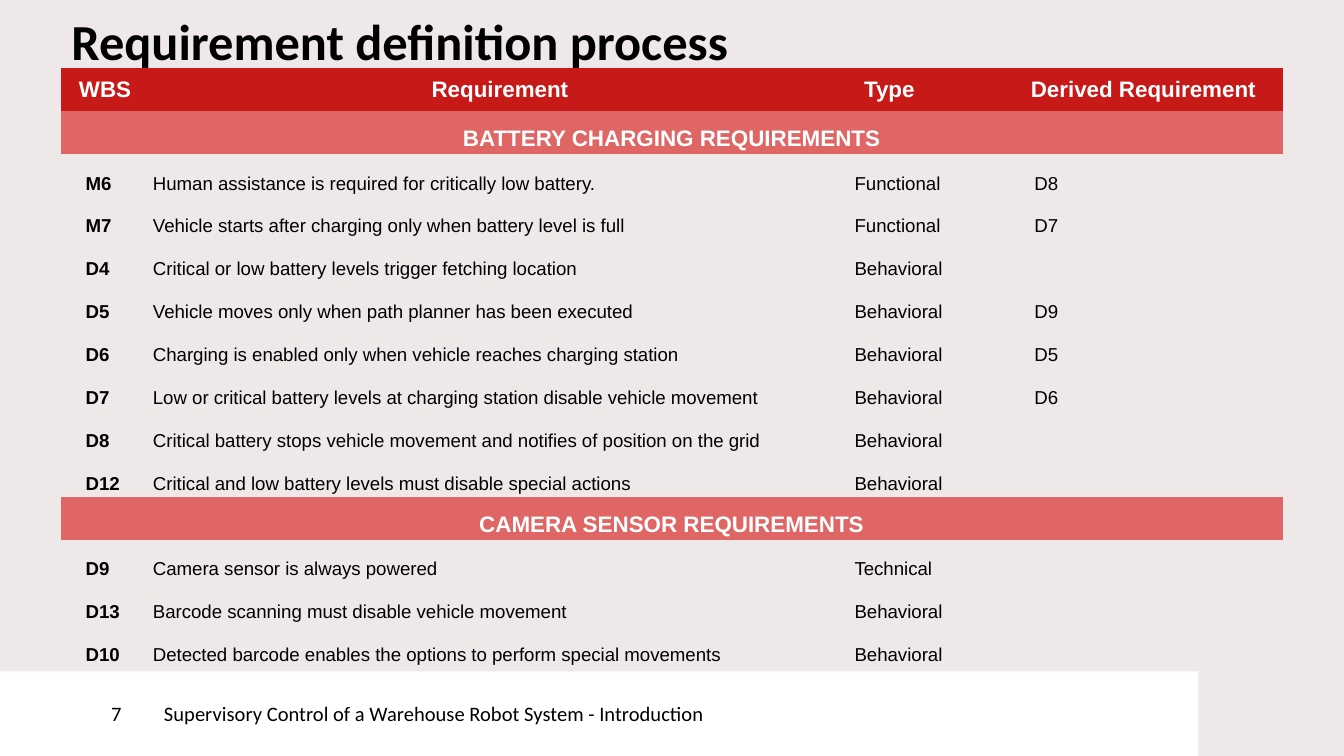
from dataclasses import dataclass
from typing import Optional

from lxml.etree import SubElement
from pptx import Presentation
from pptx.dml.color import RGBColor
from pptx.enum.shapes import MSO_SHAPE
from pptx.enum.text import MSO_ANCHOR as Anchor, PP_ALIGN as Align
from pptx.oxml.ns import qn
from pptx.util import Cm, Pt

PALE = RGBColor(0xEE, 0xE8, 0xE8)
RED = RGBColor(0xC8, 0x19, 0x19)
ROSE = RGBColor(0xE0, 0x66, 0x66)
WHITE = RGBColor(0xFF, 0xFF, 0xFF)
BLACK = RGBColor(0, 0, 0)
PLAIN_TABLE_STYLE = "{2D5ABB26-0587-4C30-8999-92F81FD0307C}"
COLUMN_WIDTHS = (1.67, 13.26, 2.9, 5.26)
ROW_HEIGHT = 0.81


@dataclass(frozen=True)
class CellStyle:
    size: int
    color: RGBColor
    bold: bool = False
    fill: Optional[RGBColor] = None
    align: Align = Align.LEFT
    anchor: Anchor = Anchor.BOTTOM
    left: float = 0.07
    side: float = 0.07
    vertical: float = 0.05
    spacing: float = 1.15


@dataclass(frozen=True)
class Requirement:
    wbs: str
    text: str
    kind: str
    derived: str = ""


@dataclass(frozen=True)
class Section:
    heading: str
    requirements: tuple[Requirement, ...]


@dataclass(frozen=True)
class FooterBox:
    text: str
    left: float
    width: float
    inset: float


def header_style(align: Align) -> CellStyle:
    return CellStyle(12, WHITE, True, RED, align, Anchor.MIDDLE, 0.25, 0.25, 0.13, 1.0)


HEADERS = (
    ("WBS", header_style(Align.CENTER)),
    ("Requirement", header_style(Align.CENTER)),
    ("Type", header_style(Align.LEFT)),
    ("Derived Requirement", header_style(Align.CENTER)),
)
SECTION_STYLE = CellStyle(12, WHITE, True, ROSE, Align.CENTER)
BODY_STYLES = (
    CellStyle(10, BLACK, True, left=0.47),
    CellStyle(10, BLACK),
    CellStyle(10, BLACK),
    CellStyle(10, BLACK, left=0.57),
)
SECTIONS = (
    Section("BATTERY CHARGING REQUIREMENTS", (
        Requirement("M6", "Human assistance is required for critically low battery.", "Functional", "D8"),
        Requirement("M7", "Vehicle starts after charging only when battery level is full", "Functional", "D7"),
        Requirement("D4", "Critical or low battery levels trigger fetching location", "Behavioral"),
        Requirement("D5", "Vehicle moves only when path planner has been executed", "Behavioral", "D9"),
        Requirement("D6", "Charging is enabled only when vehicle reaches charging station", "Behavioral", "D5"),
        Requirement("D7", "Low or critical battery levels at charging station disable vehicle movement",
                    "Behavioral", "D6"),
        Requirement("D8", "Critical battery stops vehicle movement and notifies of position on the grid",
                    "Behavioral"),
        Requirement("D12", "Critical and low battery levels must disable special actions", "Behavioral"),
    )),
    Section("CAMERA SENSOR REQUIREMENTS", (
        Requirement("D9", "Camera sensor is always powered", "Technical"),
        Requirement("D13", "Barcode scanning must disable vehicle movement", "Behavioral"),
        Requirement("D10", "Detected barcode enables the options to perform special movements", "Behavioral"),
    )),
)
FOOTER = (
    FooterBox("7", 0, 3.1, 2.1),
    FooterBox("Supervisory Control of a Warehouse Robot System - Introduction", 3.1, 19.55, 0),
)


def format_runs(paragraph, font_name: str, size: int, color: RGBColor, bold: bool) -> None:
    for run in paragraph.runs:
        run.font.name = font_name
        run.font.size = Pt(size)
        run.font.bold = bold
        run.font.color.rgb = color


def fill_cell(cell, text: str, style: CellStyle) -> None:
    cell.margin_left, cell.margin_right = Cm(style.left), Cm(style.side)
    cell.margin_top = cell.margin_bottom = Cm(style.vertical)
    cell.vertical_anchor = style.anchor
    if style.fill is None:
        cell.fill.background()
    else:
        cell.fill.solid()
        cell.fill.fore_color.rgb = style.fill
    paragraph = cell.text_frame.paragraphs[0]
    paragraph.text = text
    paragraph.alignment = style.align
    paragraph.line_spacing = style.spacing
    format_runs(paragraph, "Arial", style.size, style.color, style.bold)
    if not text:
        SubElement(paragraph._p, qn("a:endParaRPr"), sz=str(style.size * 100))


def add_title(slide, text: str) -> None:
    title = slide.shapes.title
    title.left, title.top, title.width, title.height = Cm(1.35), Cm(0.13), Cm(21), Cm(1.42)
    frame = title.text_frame
    frame.text = text
    frame.vertical_anchor = Anchor.MIDDLE
    frame.margin_left = frame.margin_right = frame.margin_top = frame.margin_bottom = 0
    paragraph = frame.paragraphs[0]
    paragraph.alignment = Align.LEFT
    paragraph.line_spacing = 0.9
    format_runs(paragraph, "Calibri", 27, BLACK, True)


def add_requirements(slide, sections: tuple[Section, ...]) -> None:
    row_count = 1 + sum(1 + len(section.requirements) for section in sections)
    table = slide.shapes.add_table(
        row_count, len(COLUMN_WIDTHS), Cm(1.15), Cm(1.29),
        Cm(sum(COLUMN_WIDTHS)), Cm(ROW_HEIGHT * row_count),
    ).table
    table.first_row = table.horz_banding = False
    table._tbl.tblPr.find(qn("a:tableStyleId")).text = PLAIN_TABLE_STYLE
    for column, width in zip(table.columns, COLUMN_WIDTHS):
        column.width = Cm(width)
    for row in table.rows:
        row.height = Cm(ROW_HEIGHT)
    for index, (heading, style) in enumerate(HEADERS):
        fill_cell(table.cell(0, index), heading, style)
    row_index = 1
    for section in sections:
        for index in range(len(COLUMN_WIDTHS)):
            fill_cell(table.cell(row_index, index), "" if index else section.heading, SECTION_STYLE)
        table.cell(row_index, 0).merge(table.cell(row_index, len(COLUMN_WIDTHS) - 1))
        for row_index, item in enumerate(section.requirements, row_index + 1):
            values = (item.wbs, item.text, item.kind, item.derived)
            for index, (value, style) in enumerate(zip(values, BODY_STYLES)):
                fill_cell(table.cell(row_index, index), value, style)
        row_index += 1


def add_footer_box(slide, box: FooterBox) -> None:
    panel = slide.shapes.add_shape(
        MSO_SHAPE.RECTANGLE, Cm(box.left), Cm(12.69), Cm(box.width), Cm(1.6))
    panel.shadow.inherit = False
    panel.fill.solid()
    panel.fill.fore_color.rgb = WHITE
    panel.line.fill.background()
    frame = panel.text_frame
    frame.text = box.text
    frame.word_wrap = True
    frame.vertical_anchor = Anchor.MIDDLE
    frame.margin_left = Cm(box.inset)
    frame.margin_right = frame.margin_top = frame.margin_bottom = 0
    frame.paragraphs[0].alignment = Align.LEFT
    format_runs(frame.paragraphs[0], "Calibri", 11, BLACK, False)


def main() -> None:
    deck = Presentation()
    deck.slide_width, deck.slide_height = Cm(25.4), Cm(14.29)
    slide = deck.slides.add_slide(deck.slide_layouts[5])
    slide.background.fill.solid()
    slide.background.fill.fore_color.rgb = PALE
    add_title(slide, "Requirement definition process")
    add_requirements(slide, SECTIONS)
    for box in FOOTER:
        add_footer_box(slide, box)
    deck.save("out.pptx")


if __name__ == "__main__":
    main()
